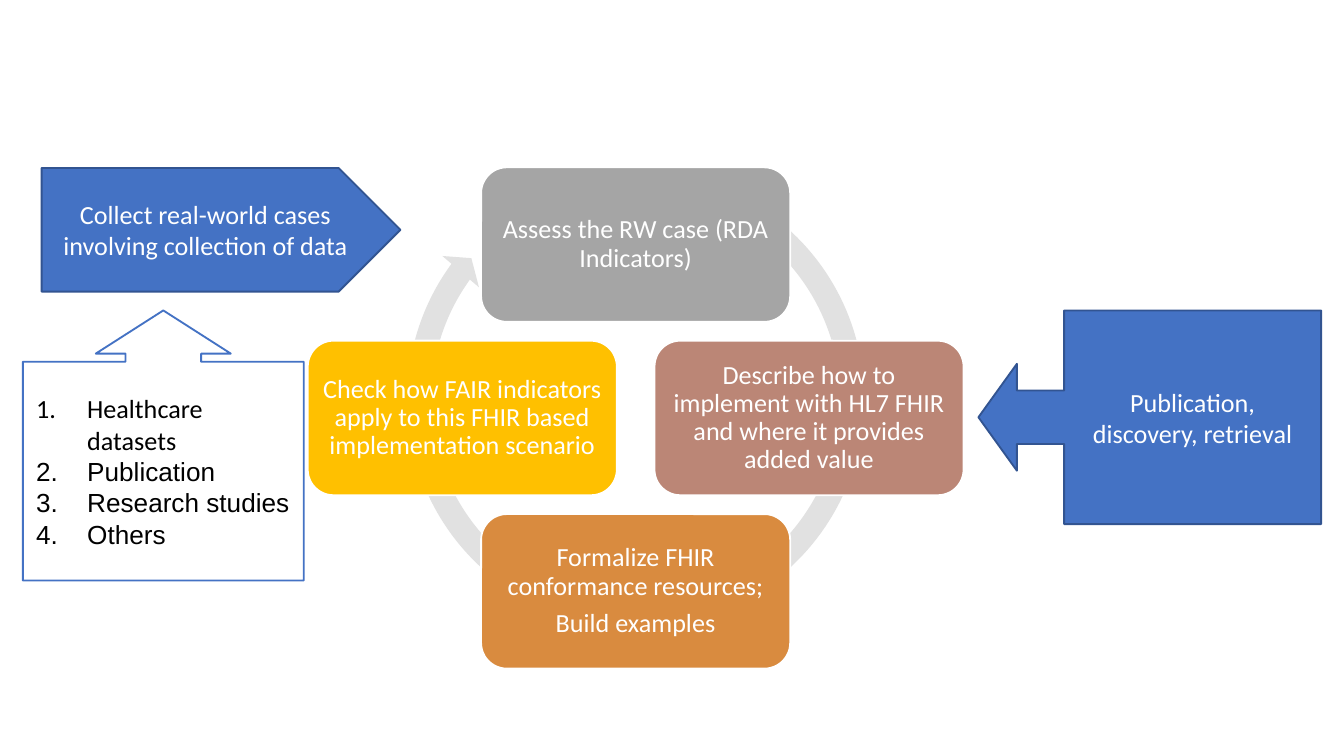
from dataclasses import dataclass

from lxml import etree
from pptx import Presentation
from pptx import util as u
from pptx.dml import color as c
from pptx.enum import shapes, text
from pptx.oxml import ns

COLORS = {
    "white": "FFFFFF", "black": "000000", "ring": "E1E1E1",
    "blue": "4472C4", "navy": "325491", "gray": "A5A5A5",
    "rose": "BB8676", "orange": "D98B3F", "gold": "FFC000",
}
CYCLE_X, CYCLE_Y, CYCLE_RADIUS = 4.73, 3.11, 1.29
STEP_WIDTH, STEP_HEIGHT = 2.3, 1.15
KIND = shapes.MSO_SHAPE


@dataclass(frozen=True)
class Step:
    """One stage of the cycle, placed by its direction from the centre."""
    across: int
    down: int
    fill: str
    lines: tuple[str, ...]


@dataclass(frozen=True)
class Block:
    """One preset shape with its place and colours."""
    kind: KIND
    left: float
    top: float
    width: float
    height: float
    fill: str
    line: str | None = None
    adjustments: tuple[float, ...] = ()


STEPS = (
    Step(0, -1, "gray", ("Assess the RW case (RDA Indicators)",)),
    Step(1, 0, "rose", ("Describe how to implement with HL7 FHIR and where it provides added value",)),
    Step(0, 1, "orange", ("Formalize FHIR conformance resources;", "Build examples")),
    Step(-1, 0, "gold", ("Check how FAIR indicators apply to this FHIR based implementation scenario",)),
)
RING = Block(KIND.CIRCULAR_ARROW, 2.94, 1.18, 3.58, 3.58, "ring",
             adjustments=(0.05, 2.73, 129.64, 179.41, 0.05))
COLLECT = Block(KIND.PENTAGON, 0.31, 1.25, 2.67, 0.92, "blue", "navy")
PUBLISH = Block(KIND.LEFT_ARROW_CALLOUT, 7.28, 2.31, 2.55, 1.59, "blue", "navy",
                (0.25, 0.25, 0.18, 0.75))
SOURCES = Block(KIND.UP_ARROW_CALLOUT, 0.17, 2.31, 2.09, 2.01, "white", "blue",
                (0.28, 0.25, 0.16, 0.81))


def color(name: str) -> c.RGBColor:
    """Look up a named colour."""
    return c.RGBColor.from_string(COLORS[name])


def draw_block(slide, block: Block):
    """Draw a preset shape and return it."""
    place = (u.Inches(value) for value in (block.left, block.top, block.width, block.height))
    shape = slide.shapes.add_shape(block.kind, *place)
    shape.shadow.inherit = False
    for index, value in enumerate(block.adjustments):
        shape.adjustments[index] = value
    shape.fill.solid()
    shape.fill.fore_color.rgb = color(block.fill)
    if block.line:
        shape.line.color.rgb = color(block.line)
        shape.line.width = u.Pt(1)
    else:
        shape.line.fill.background()
    return shape


def number_paragraph(paragraph, indent: float) -> None:
    """Give a paragraph an automatic number and a hanging indent."""
    properties = paragraph._p.get_or_add_pPr()
    properties.set("marL", str(u.Inches(indent)))
    properties.set("indent", str(-u.Inches(indent)))
    etree.SubElement(properties, ns.qn("a:buAutoNum"), type="arabicPeriod")


def write_text(shape, *lines: str, ink: str = "white", fonts: tuple[str, ...] = ("Calibri",),
               size: float = 14, margin: float | None = None, spacing: float = 1,
               after: float = 0, numbered: bool = False) -> None:
    """Fill a shape with paragraphs; the last font serves all further lines."""
    frame = shape.text_frame
    frame.word_wrap = True
    frame.vertical_anchor = text.MSO_ANCHOR.MIDDLE
    if margin is not None:
        frame.margin_left = frame.margin_right = u.Inches(margin)
        frame.margin_top = frame.margin_bottom = u.Inches(margin)
    for index, line in enumerate(lines):
        paragraph = frame.paragraphs[0] if index == 0 else frame.add_paragraph()
        if numbered:
            number_paragraph(paragraph, 0.38)
        paragraph.alignment = text.PP_ALIGN.LEFT if numbered else text.PP_ALIGN.CENTER
        paragraph.line_spacing = spacing
        paragraph.space_after = u.Pt(after)
        run = paragraph.add_run()
        run.text = line
        run.font.name = fonts[min(index, len(fonts) - 1)]
        run.font.size = u.Pt(size)
        run.font.color.rgb = color(ink)


def draw_step(slide, step: Step) -> None:
    """Draw one rounded stage of the cycle."""
    left = CYCLE_X + step.across * CYCLE_RADIUS - STEP_WIDTH / 2
    top = CYCLE_Y + step.down * CYCLE_RADIUS - STEP_HEIGHT / 2
    shape = draw_block(slide, Block(KIND.ROUNDED_RECTANGLE, left, top, STEP_WIDTH,
                                    STEP_HEIGHT, step.fill, "white"))
    write_text(shape, *step.lines, margin=0.05, spacing=0.9, after=5)


def main() -> None:
    """Build the slide and save it."""
    presentation = Presentation()
    presentation.slide_width = u.Inches(10)
    presentation.slide_height = u.Inches(10 * 9 / 16)
    slide = presentation.slides.add_slide(presentation.slide_layouts[6])
    draw_block(slide, RING)
    for step in STEPS:
        draw_step(slide, step)
    write_text(draw_block(slide, COLLECT), "Collect real-world cases involving collection of data")
    write_text(draw_block(slide, PUBLISH), "Publication, discovery, retrieval")
    write_text(draw_block(slide, SOURCES), "Healthcare datasets", "Publication",
               "Research studies", "Others", ink="black", fonts=("Calibri", "Arial"),
               numbered=True)
    presentation.save("out.pptx")


if __name__ == "__main__":
    main()
